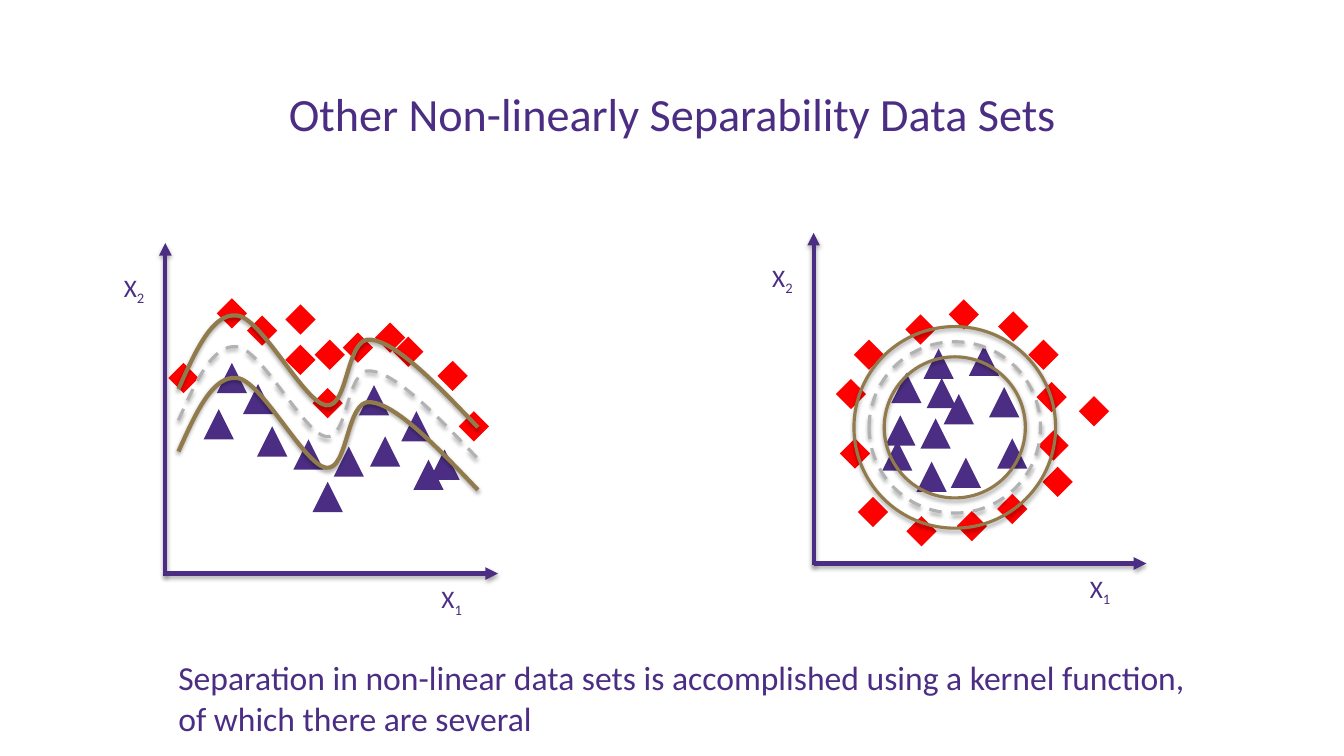
from lxml import etree
from pptx import Presentation
from pptx.dml.color import RGBColor
from pptx.enum.dml import MSO_LINE
from pptx.enum.shapes import MSO_CONNECTOR, MSO_SHAPE
from pptx.enum.text import MSO_ANCHOR, PP_ALIGN
from pptx.oxml.ns import qn
from pptx.util import Inches, Pt

PURPLE = RGBColor(0x4B, 0x2E, 0x83)
RED = RGBColor(0xFF, 0x00, 0x00)
GOLD = RGBColor(0x91, 0x7B, 0x4C)
GRAY = RGBColor(0xB2, 0xB2, 0xB2)
TRIANGLE, DIAMOND, OVAL = MSO_SHAPE.ISOSCELES_TRIANGLE, MSO_SHAPE.DIAMOND, MSO_SHAPE.OVAL
STRAIGHT, DASH = MSO_CONNECTOR.STRAIGHT, MSO_LINE.DASH
LEFT, CENTER = PP_ALIGN.LEFT, PP_ALIGN.CENTER
TOP, MIDDLE = MSO_ANCHOR.TOP, MSO_ANCHOR.MIDDLE

CELL = Inches(0.01)
MARK = 30 * CELL
AXIS = 330

deck = Presentation()
deck.slide_width, deck.slide_height = Inches(13.33), Inches(7.5)
slide = deck.slides.add_slide(deck.slide_layouts[6])
shapes = slide.shapes


def write(text, box, size, sub="", align=LEFT, anchor=TOP, wrap=True):
    frame = shapes.add_textbox(*(n * CELL for n in box)).text_frame
    frame.word_wrap, frame.vertical_anchor = wrap, anchor
    par = frame.paragraphs[0]
    par.alignment = align
    for part in filter(None, (text, sub)):
        run = par.add_run()
        run.text = part
        run.font.name, run.font.size = "Calibri", Pt(size)
        run.font.color.rgb = PURPLE
    if sub:
        run.font._element.set("baseline", "-25000")


def stroke(item, color, width, dash=None):
    item.line.color.rgb, item.line.width = color, Pt(width)
    if dash:
        item.line.dash_style = dash
    glow = etree.SubElement(item._element.spPr, qn("a:effectLst"))
    shade = etree.SubElement(glow, qn("a:outerShdw"), blurRad=str(Pt(3.1)),
                             dist=str(Pt(1.8)), dir="5400000", rotWithShape="0")
    black = etree.SubElement(shade, qn("a:srgbClr"), val="000000")
    etree.SubElement(black, qn("a:alpha"), val="35000")


write("Other Non-linearly Separability Data Sets", (92, 40, 1150, 145), 33,
      align=CENTER, anchor=MIDDLE)

plots = [
    (807, 559,
     [(936, 391), (943, 454), (916, 346), (913, 415), (909, 458), (878, 412), (961, 343),
      (989, 435), (875, 437), (919, 375), (884, 370), (981, 384)],
     [(847, 337), (990, 309), (899, 512), (898, 312), (829, 376), (851, 493), (833, 435),
      (941, 297), (1020, 337), (949, 507), (989, 490), (1034, 463), (1070, 393),
      (1028, 379), (1030, 427)]),
    (164, 569,
     [(291, 436), (356, 382), (202, 406), (215, 360), (331, 443), (310, 478), (367, 433),
      (410, 456), (398, 408), (255, 423), (241, 381), (426, 446)],
     [(215, 296), (245, 313), (455, 408), (283, 302), (283, 342), (372, 320), (434, 358),
      (340, 330), (167, 360), (312, 337), (390, 334), (310, 385)]),
]
for left, base, inner, outer in plots:
    for start, end in [((left, base + 2), (left, base + 2 - AXIS)),
                       ((left, base), (left + AXIS, base))]:
        axis = shapes.add_connector(STRAIGHT, *(n * CELL for n in start + end))
        stroke(axis, PURPLE, 3)
        etree.SubElement(axis.line._get_or_add_ln(), qn("a:tailEnd"), type="triangle")
    for kind, color, spots in [(TRIANGLE, PURPLE, inner), (DIAMOND, RED, outer)]:
        for x, y in spots:
            mark = shapes.add_shape(kind, x * CELL, y * CELL, MARK, MARK)
            mark.shadow.inherit = False
            mark.fill.solid()
            mark.fill.fore_color.rgb = color
            mark.line.fill.background()
    write("X", (left - 51, base - 304, 42, 40), 18, sub="2", wrap=False)
    write("X", (left + 264, base + 5, 42, 40), 18, sub="1", wrap=False)

knots = [(177, 417), (194, 379), (211, 341), (235, 344), (259, 346), (301, 429), (323, 433),
         (346, 437), (343, 364), (368, 368), (394, 371), (434, 413), (474, 455)]
ends = knots[::3]
edge, peak = knots[0][0], min(y for x, y in ends)

waves = shapes.add_group_shape().shapes
for drop, color, width, dash in [(0, GRAY, 2.25, DASH), (31, GOLD, 3, None),
                                 (-31, GOLD, 3, None)]:
    dots = [(x * CELL, (y + drop) * CELL) for x, y in ends]
    pen = waves.build_freeform(*dots[0])
    pen.add_line_segments(dots[1:], close=False)
    wave = pen.convert_to_shape()
    for i, leg in enumerate(list(wave._element.iter(qn("a:lnTo")))):
        bend = etree.Element(qn("a:cubicBezTo"))
        for x, y in knots[3 * i + 1:3 * i + 4]:
            etree.SubElement(bend, qn("a:pt"), x=str((x - edge) * CELL),
                             y=str((y - peak) * CELL))
        leg.getparent().replace(leg, bend)
    wave.fill.background()
    stroke(wave, color, width, dash)

rings = shapes.add_group_shape().shapes
for rad, color, dash in [(85, GRAY, DASH), (100, GOLD, None), (70, GOLD, None)]:
    ring = rings.add_shape(OVAL, (947 - rad) * CELL, (424 - rad) * CELL,
                           2 * rad * CELL, 2 * rad * CELL)
    ring.fill.background()
    stroke(ring, color, 2.25, dash)

write("Separation in non-linear data sets is accomplished using a kernel function, "
      "of which there are several", (167, 647, 1049, 91), 24)

deck.save("out.pptx")
